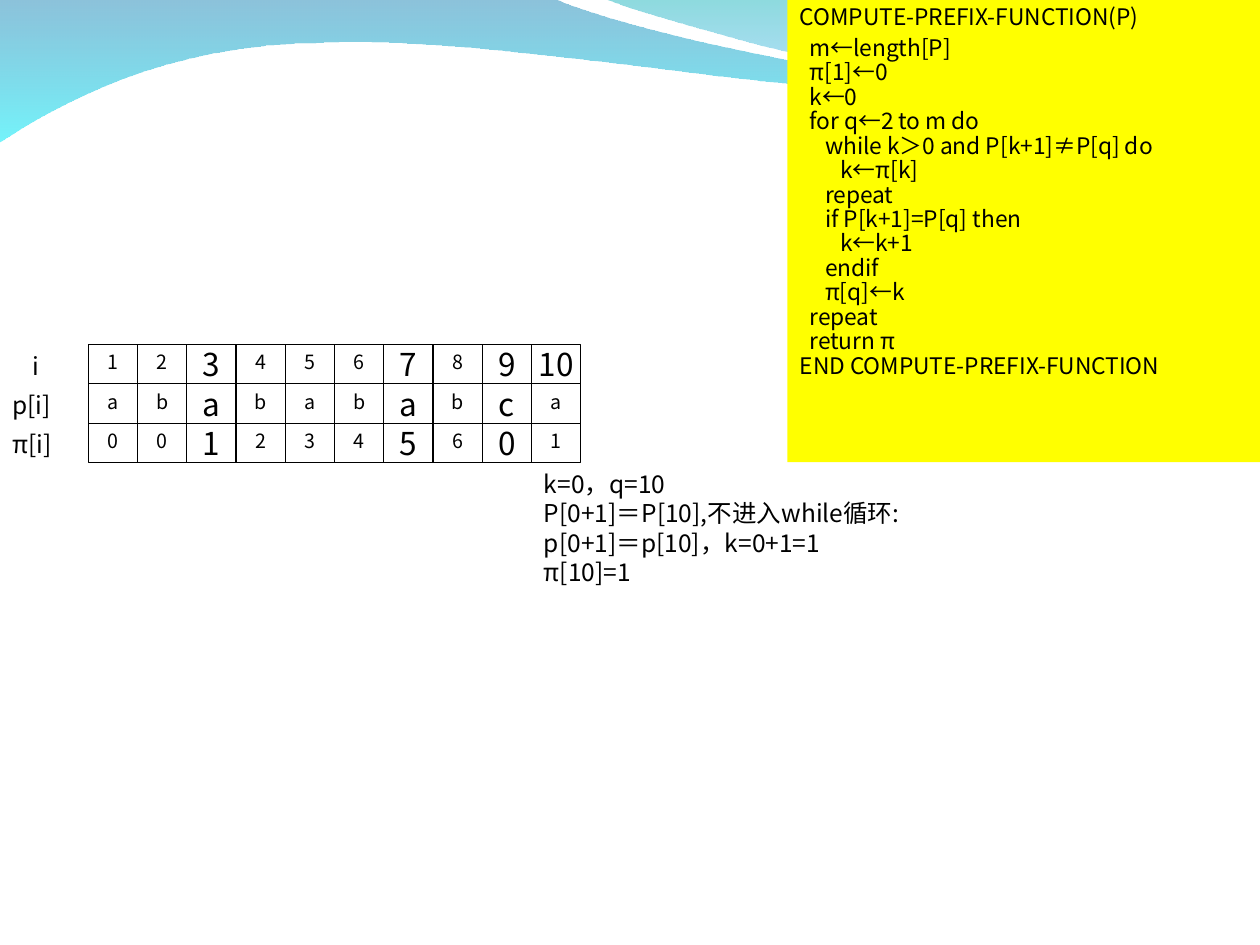
"""Build the prefix-function slide: pseudocode, the p and π table, and the last step."""
from dataclasses import dataclass

from lxml.etree import SubElement
from pptx import Presentation
from pptx.dml.color import RGBColor
from pptx.enum.shapes import MSO_SHAPE
from pptx.enum.text import MSO_ANCHOR, MSO_AUTO_SIZE, PP_ALIGN
from pptx.oxml.ns import qn
from pptx.util import Pt


@dataclass(frozen=True)
class Theme:
    font: str = "Noto Sans CJK SC"
    ink: RGBColor = RGBColor(0, 0, 0)
    panel: RGBColor = RGBColor(255, 255, 0)
    code: float = 12.95
    cell: float = 11.2
    large: float = 18
    body: float = 14
    back_wave: tuple = (("0079AF", 45), ("00EBF8", 55))
    front_wave: tuple = (("00ADB6", 45), ("009BE5", 30))


theme = Theme()


def write(shape, *lines, size=theme.body, align=PP_ALIGN.LEFT, anchor=MSO_ANCHOR.TOP,
          spacing=None, inset=(7.2, 3.6), fit=MSO_AUTO_SIZE.NONE):
    frame = shape.text_frame
    frame.word_wrap = True
    frame.auto_size = fit
    frame.vertical_anchor = anchor
    frame.margin_left = frame.margin_right = Pt(inset[0])
    frame.margin_top = frame.margin_bottom = Pt(inset[1])
    frame.text = "\n".join(lines)
    for paragraph in frame.paragraphs:
        paragraph.alignment = align
        paragraph.line_spacing = spacing
        font = paragraph.runs[0].font
        font.name, font.size, font.color.rgb = theme.font, Pt(size), theme.ink
        SubElement(font._element, qn("a:ea"), typeface=theme.font)
    return frame.paragraphs


presentation = Presentation()
presentation.slide_width, presentation.slide_height = Pt(720), Pt(540)
slide = presentation.slides.add_slide(presentation.slide_layouts[6])
shapes = slide.shapes

waves = [
    (theme.back_wave, (0, -0.7), [
        [(316.8, -0.7)],
        [(342.7, 12.2), (478.1, 45.4), (545.8, 45.4)],
        [(614.2, 45.4), (689.8, 18.7), (720, 6.5)],
        [(720.7, 25.9)],
        [(707.8, 31.7), (626.4, 54.7), (537.1, 54)],
        [(447.8, 54), (275, 20.2), (185, 24.5)],
        [(92.9, 25.2), (33.1, 59.8), (-0.7, 81.4)],
    ]),
    (theme.front_wave, (344.9, -0.7), [
        [(366.5, 7.9), (491, 44.6), (553.7, 46.8)],
        [(616.3, 49.7), (691.9, 23), (720, 15.1)],
        [(720, 0)],
    ]),
]
for colours, start, segments in waves:
    builder = shapes.build_freeform(Pt(start[0]), Pt(start[1]))
    builder.add_line_segments([(Pt(x), Pt(y)) for segment in segments for x, y in segment],
                              close=True)
    wave = builder.convert_to_shape()
    strokes = iter(list(wave._element.spPr.iter(qn("a:lnTo"))))
    for segment in segments:
        stroke = next(strokes)
        if len(segment) == 3:
            stroke.tag = qn("a:cubicBezTo")
            for control in (next(strokes), next(strokes)):
                stroke.append(control[0])
                control.getparent().remove(control)
    wave.shadow.inherit = False
    wave.line.fill.background()
    wave.fill.gradient()
    wave.fill.gradient_angle = 270
    for stop, (colour, opacity) in zip(wave.fill.gradient_stops, colours):
        stop.color.rgb = RGBColor.from_string(colour)
    for colour_tag, (colour, opacity) in zip(wave._element.spPr.iter(qn("a:srgbClr")), colours):
        SubElement(colour_tag, qn("a:alpha"), val=str(opacity * 1000))

code_lines = [
    (0, "COMPUTE-PREFIX-FUNCTION(P)"),
    (1, "m←length[P]"),
    (1, "π[1]←0"),
    (1, "k←0"),
    (1, "for q←2 to m do"),
    (2, "while k＞0 and P[k+1]≠P[q] do"),
    (3, "k←π[k]"),
    (2, "repeat"),
    (2, "if P[k+1]=P[q] then"),
    (3, "k←k+1"),
    (2, "endif"),
    (2, "π[q]←k"),
    (1, "repeat"),
    (1, "return π"),
    (0, "END COMPUTE-PREFIX-FUNCTION"),
]
level_indents = [0, 5.6, 14.5, 23.2]
pseudocode = shapes.add_shape(MSO_SHAPE.RECTANGLE, Pt(449.9), Pt(0), Pt(270.1), Pt(264.2))
pseudocode.shadow.inherit = False
pseudocode.fill.solid()
pseudocode.fill.fore_color.rgb = theme.panel
pseudocode.line.fill.background()
code_paragraphs = write(pseudocode, *(line for level, line in code_lines),
                        size=theme.code, spacing=0.9)
for paragraph, (level, line) in zip(code_paragraphs, code_lines):
    paragraph._p.get_or_add_pPr().set("marL", str(Pt(level_indents[level])))
for paragraph in code_paragraphs[:2]:
    paragraph.space_before = Pt(3.5)

table_left, table_top, cell_width, cell_height = 50.4, 196.8, 28.15, 22.55
table_rows = [
    ("i", 11.5, 28.1, ["1", "2", "3", "4", "5", "6", "7", "8", "9", "10"]),
    ("p[i]", 0, 39.6, list("ababababca")),
    ("π[i]", 0, 45.4, list("0012345601")),
]
large_columns = {2, 6, 8}
for row, (label, label_left, label_width, values) in enumerate(table_rows):
    top = Pt(table_top + row * cell_height)
    row_label = shapes.add_textbox(Pt(label_left), top, Pt(label_width), Pt(24.5))
    write(row_label, label, fit=MSO_AUTO_SIZE.SHAPE_TO_FIT_TEXT)
    for column, value in enumerate(values):
        cell = shapes.add_shape(MSO_SHAPE.RECTANGLE, Pt(table_left + column * cell_width), top,
                                Pt(cell_width), Pt(cell_height))
        cell.shadow.inherit = False
        cell.fill.background()
        cell.line.color.rgb = theme.ink
        cell.line.width = Pt(0.75)
        two_digits = len(value) > 1
        large = column in large_columns or two_digits
        write(cell, value, size=theme.large if large else theme.cell, align=PP_ALIGN.CENTER,
              anchor=MSO_ANCHOR.MIDDLE, spacing=None if large else 0.8,
              inset=(2.9, 2.9) if two_digits else (7.2, 3.6))

last_step = shapes.add_textbox(Pt(303.7), Pt(264.3), Pt(228), Pt(108))
write(last_step, "k=0，q=10", "P[0+1]＝P[10],不进入while循环:", "p[0+1]＝p[10]，k=0+1=1", "π[10]=1",
      fit=MSO_AUTO_SIZE.SHAPE_TO_FIT_TEXT)

presentation.save("out.pptx")
